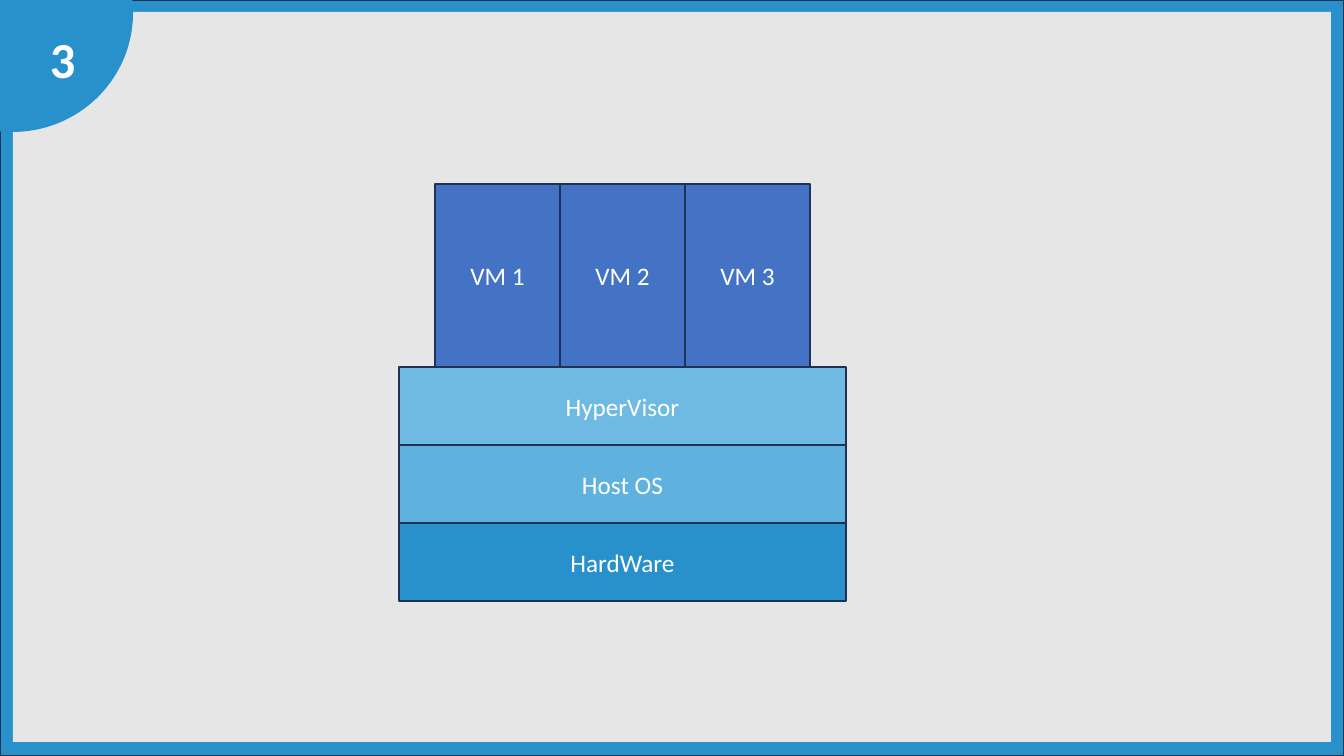
from pptx import Presentation
from pptx.dml.color import RGBColor
from pptx.enum.shapes import MSO_SHAPE
from pptx.enum.text import MSO_ANCHOR, MSO_AUTO_SIZE, PP_ALIGN
from pptx.util import Emu, Pt

PIXELS_PER_INCH = 100.8
FONT = "Calibri"
COLORS = {
    "frame": "2890CB",
    "panel": "E7E6E6",
    "outline": "1E3256",
    "hardware": "2890CB",
    "host": "5FB1DF",
    "hypervisor": "6FBAE3",
    "machine": "4472C4",
    "text": "FFFFFF",
}


def px(value):
    return Emu(round(value * 914400 / PIXELS_PER_INCH))


def color(name):
    return RGBColor.from_string(COLORS[name])


def style_text(para, text, size, bold=False):
    para.text = text
    para.font.name = FONT
    para.font.size = Pt(size)
    para.font.bold = bold
    para.font.color.rgb = color("text")


def add_area(page, kind, bounds, fill, outlined=False):
    shape = page.shapes.add_shape(kind, *map(px, bounds))
    shape.shadow.inherit = False
    shape.fill.solid()
    shape.fill.fore_color.rgb = color(fill)
    if outlined:
        shape.line.color.rgb = color("outline")
        shape.line.width = Pt(1)
    else:
        shape.line.fill.background()
    return shape


def add_block(page, text, bounds, fill):
    block = add_area(page, MSO_SHAPE.RECTANGLE, bounds, fill, outlined=True)
    block.text_frame.vertical_anchor = MSO_ANCHOR.MIDDLE
    para = block.text_frame.paragraphs[0]
    para.alignment = PP_ALIGN.CENTER
    style_text(para, text, 18)


def add_number(page, text, bounds):
    box = page.shapes.add_textbox(*map(px, bounds))
    box.text_frame.word_wrap = True
    box.text_frame.auto_size = MSO_AUTO_SIZE.SHAPE_TO_FIT_TEXT
    style_text(box.text_frame.paragraphs[0], text, 36, bold=True)


def main():
    deck = Presentation()
    deck.slide_width, deck.slide_height = px(1344), px(756)
    page = deck.slides.add_slide(deck.slide_layouts[6])

    add_area(page, MSO_SHAPE.RECTANGLE, (0, 0, 1344, 756), "frame", outlined=True)
    add_area(page, MSO_SHAPE.RECTANGLE, (13, 12, 1318, 730), "panel")
    add_area(page, MSO_SHAPE.OVAL, (-108, -106, 241, 238), "frame")

    layers = [("HardWare", "hardware"), ("Host OS", "host"), ("HyperVisor", "hypervisor")]
    layer_height = 78
    for index, (text, fill) in enumerate(layers):
        add_block(page, text, (399, 523 - index * layer_height, 447, layer_height), fill)

    machine_width = 125
    for index in range(3):
        bounds = (435 + index * machine_width, 184, machine_width, 183)
        add_block(page, f"VM {index + 1}", bounds, "machine")

    add_number(page, "3", (40, 23, 76, 72))
    deck.save("out.pptx")


if __name__ == "__main__":
    main()
